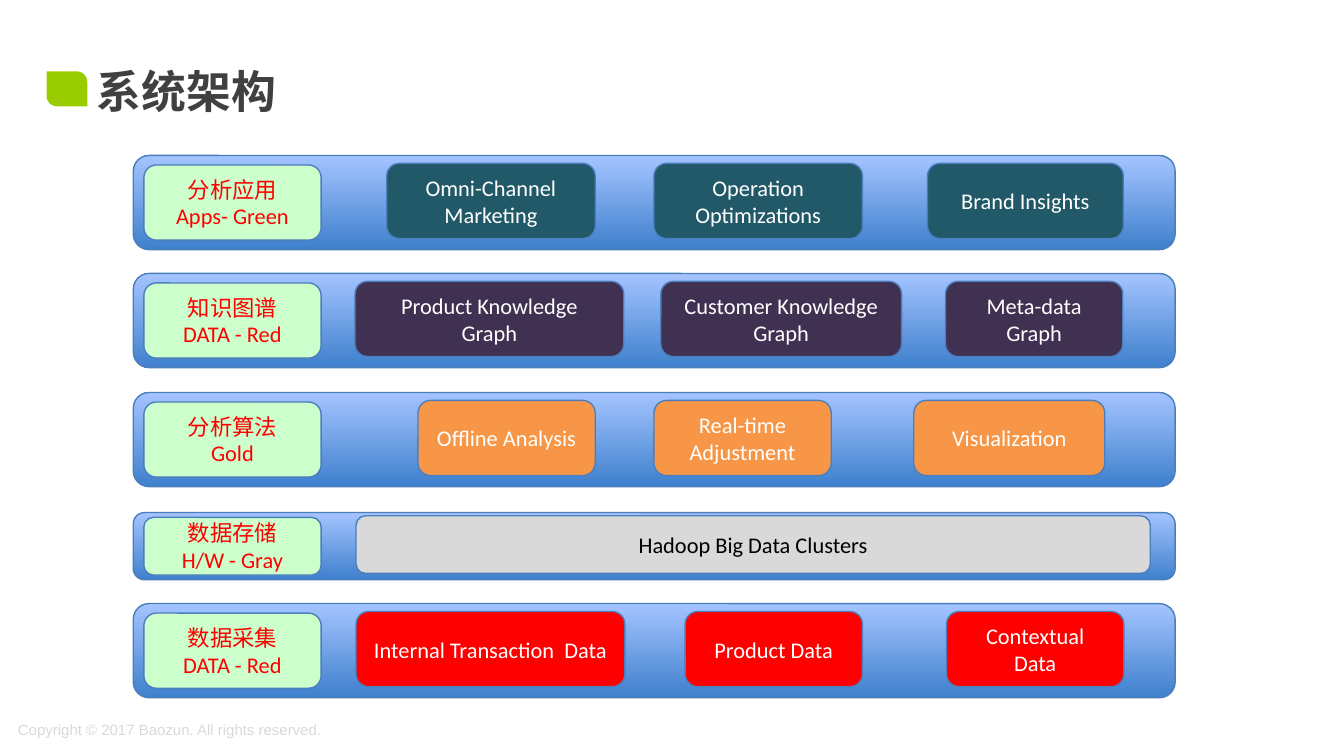
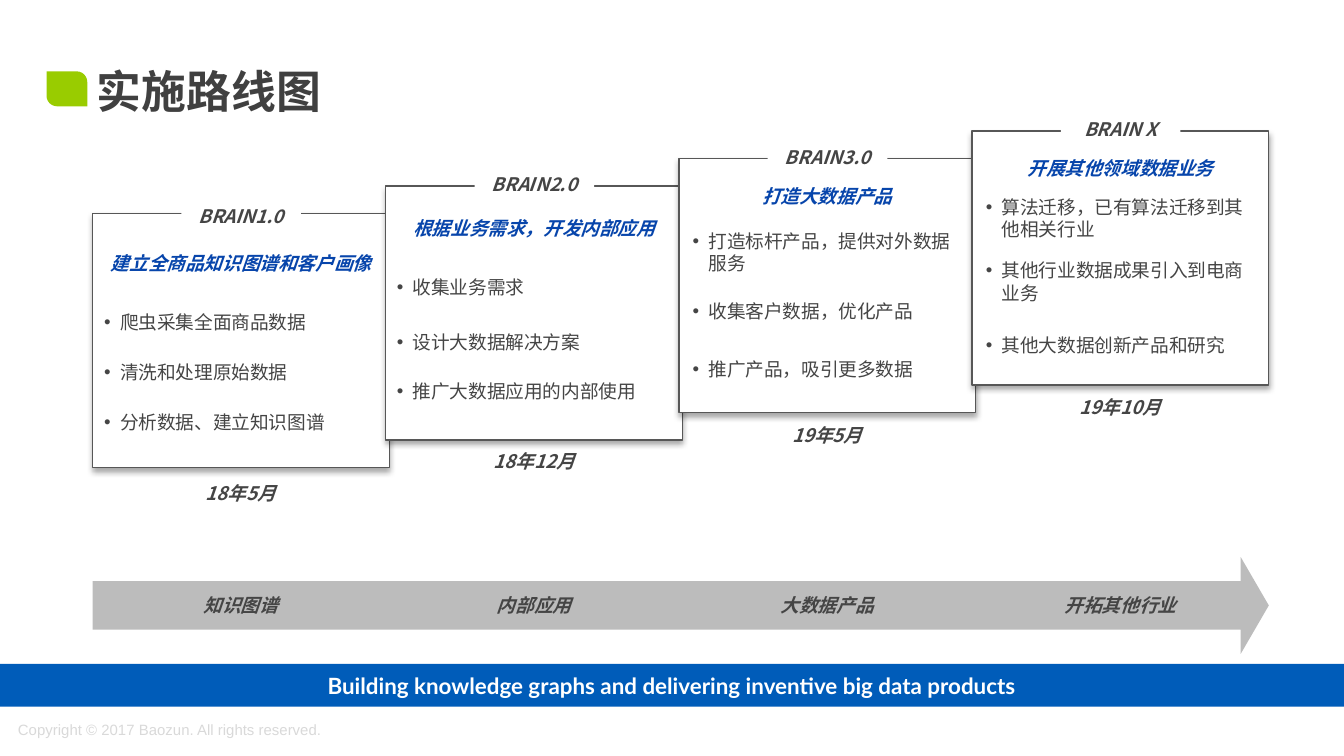
import lxml.etree
import pptx
import pptx.dml.color
import pptx.enum.shapes
import pptx.enum.text
import pptx.oxml.ns
import pptx.util

Cm = pptx.util.Cm
Pt = pptx.util.Pt
SHAPES = pptx.enum.shapes.MSO_SHAPE
ANCHOR = pptx.enum.text.MSO_ANCHOR
ALIGN = pptx.enum.text.PP_ALIGN
CJK_FONT = "Noto Sans CJK SC"
COPYRIGHT = "Copyright © 2017 Baozun. All rights reserved."
WHITE, BLACK, RED = "FFFFFF", "000000", "FF0000"
GREEN, PALE_GREEN, LIGHT_GRAY = "99CC00", "CCFFCC", "D9D9D9"
DARK, GRAY, OUTLINE = "404040", "454545", "575757"
BLUE, BAR_BLUE, EDGE_BLUE, ARROW_GRAY = "0745AB", "005CB9", "4B7EBC", "BCBCBC"
BAND_GRADIENT = ("3F80CD", "A4C4FF")

ARCHITECTURE_TITLE = "系统架构"
LAYERS = [
    {"top": 2.94, "height": 1.78, "label": ["分析应用", "Apps- Green"],
     "fill": "215968", "color": WHITE,
     "parts": [("Omni-Channel Marketing", 7.31, 3.94),
               ("Operation Optimizations", 12.36, 3.94),
               ("Brand Insights", 17.53, 3.7)]},
    {"top": 5.17, "height": 1.78, "label": ["知识图谱", "DATA - Red"],
     "fill": "403152", "color": WHITE,
     "parts": [("Product Knowledge Graph", 6.71, 5.08),
               ("Customer Knowledge Graph", 12.49, 4.55),
               ("Meta-data Graph", 17.87, 3.35)]},
    {"top": 7.42, "height": 1.78, "label": ["分析算法", "Gold"],
     "fill": "F79646", "color": WHITE,
     "parts": [("Offline Analysis", 7.9, 3.35),
               ("Real-time Adjustment", 12.36, 3.35),
               ("Visualization", 17.27, 3.61)]},
    {"top": 9.69, "height": 1.27, "label": ["数据存储", "H/W - Gray"],
     "fill": LIGHT_GRAY, "color": BLACK,
     "parts": [("Hadoop Big Data Clusters", 6.73, 15.01)]},
    {"top": 11.41, "height": 1.78, "label": ["数据采集", "DATA - Red"],
     "fill": RED, "color": WHITE,
     "parts": [("Internal Transaction  Data", 6.73, 5.08),
               ("Product Data", 12.95, 3.35),
               ("Contextual Data", 17.89, 3.35)]},
]

ROADMAP_TITLE = "实施路线图"
SLOGAN = "Building knowledge graphs and delivering inventive big data products"
STAGES = [
    {"tag": "BRAIN1.0", "tag_top": 3.71, "date": "18年5月", "date_top": 8.95,
     "theme": "知识图谱", "heading": "建立全商品知识图谱和客户画像",
     "heading_top": 4.6, "list_top": 5.87, "list_indent": 0.22,
     "items": [("爬虫采集全面商品数据", 0), ("清洗和处理原始数据", 14.8),
               ("分析数据、建立知识图谱", 14.8)]},
    {"tag": "BRAIN2.0", "tag_top": 3.11, "date": "18年12月", "date_top": 8.35,
     "theme": "内部应用", "heading": "根据业务需求，开发内部应用",
     "heading_top": 3.94, "list_top": 5.21, "list_indent": 0.21,
     "items": [("收集业务需求", 0), ("设计大数据解决方案", 17.5),
               ("推广大数据应用的内部使用", 14.2)]},
    {"tag": "BRAIN3.0", "tag_top": 2.59, "date": "19年5月", "date_top": 7.85,
     "theme": "大数据产品", "heading": "打造大数据产品",
     "heading_top": 3.34, "list_top": 4.34, "list_indent": 0.26,
     "items": [("打造标杆产品，提供对外数据服务", 0), ("收集客户数据，优化产品", 13.5),
               ("推广产品，吸引更多数据", 19.5)]},
    {"tag": "BRAIN X", "tag_top": 2.07, "date": "19年10月", "date_top": 7.33,
     "theme": "开拓其他行业", "heading": "开展其他领域数据业务",
     "heading_top": 2.8, "list_top": 3.7, "list_indent": 0.26,
     "items": [("算法迁移，已有算法迁移到其他相关行业", 0),
               ("其他行业数据成果引入到电商业务", 10),
               ("其他大数据创新产品和研究", 16)]},
]


def rgb(value):
    return pptx.dml.color.RGBColor.from_string(value)


def add_element(parent, tag, **attributes):
    return lxml.etree.SubElement(parent, pptx.oxml.ns.qn(tag), **attributes)


def place(shape, left, top, width, height):
    shape.left, shape.top = Cm(left), Cm(top)
    shape.width, shape.height = Cm(width), Cm(height)


def add_shape(slide, kind, box, fill, line=None):
    shape = slide.shapes.add_shape(kind, *map(Cm, box))
    shape.shadow.inherit = False
    if isinstance(fill, tuple):
        shape.fill.gradient()
        shape.fill.gradient_angle = 90
        for stop, color in zip(shape.fill.gradient_stops, fill):
            stop.color.rgb = rgb(color)
    else:
        shape.fill.solid()
        shape.fill.fore_color.rgb = rgb(fill)
    if line:
        shape.line.color.rgb = rgb(line)
        shape.line.width = Pt(0.75)
    else:
        shape.line.fill.background()
    return shape


def write(shape, lines, size, color, font=CJK_FONT, bold=False, italic=False,
          align=ALIGN.CENTER, anchor=ANCHOR.MIDDLE, margins=(0.25, 0.13)):
    frame = shape.text_frame
    frame.text = "\n".join(lines)
    frame.word_wrap = True
    frame.auto_size = pptx.enum.text.MSO_AUTO_SIZE.NONE
    frame.vertical_anchor = anchor
    frame.margin_left = frame.margin_right = Cm(margins[0])
    frame.margin_top = frame.margin_bottom = Cm(margins[1])
    for paragraph in frame.paragraphs:
        paragraph.alignment = align
        for run in paragraph.runs:
            run.font.name = font
            run.font.size = Pt(size)
            run.font.bold = bold
            run.font.italic = italic
            run.font.color.rgb = rgb(color)
            add_element(run.font._element, "a:ea", typeface=CJK_FONT)


def add_text(slide, box, text, size, color, **style):
    write(slide.shapes.add_textbox(*map(Cm, box)), [text], size, color, **style)


def add_slide(presentation, layout, title, font):
    slide = presentation.slides.add_slide(presentation.slide_layouts.get_by_name(layout))
    place(slide.shapes.title, 1.7, 1.27, 21.97, 1.3)
    write(slide.shapes.title, [title], 24, DARK, font=font, bold=True,
          align=ALIGN.LEFT, anchor=ANCHOR.TOP, margins=(0.13, 0.13))
    slide.shapes.title.text_frame.paragraphs[0].line_spacing = 0.8
    return slide


def decorate_master(presentation, slide):
    mark = add_shape(slide, SHAPES.ROUND_2_DIAG_RECTANGLE, (0.88, 1.35, 0.77, 0.66), GREEN)
    mark.adjustments[0], mark.adjustments[1] = 0, 0.3
    add_text(slide, (0.34, 13.62, 7.44, 0.36), COPYRIGHT, 8, LIGHT_GRAY, font="Arial",
             align=ALIGN.LEFT, anchor=ANCHOR.TOP, margins=(0, 0))
    for number, shape in enumerate(list(slide.shapes)[-2:], 21):
        shape.element.xpath("./p:nvSpPr/p:cNvPr")[0].set("id", str(number))
        presentation.slide_master.shapes.element.append(shape.element)


def build_architecture(slide):
    for layer in LAYERS:
        top, height = layer["top"], layer["height"]
        add_shape(slide, SHAPES.ROUNDED_RECTANGLE, (2.52, top, 19.69, height),
                  BAND_GRADIENT, EDGE_BLUE)
        part_height = min(1.42, height - 0.18)
        label_top = top + (height - part_height) / 2
        part_top = label_top - 0.03
        boxes = [(layer["label"], 2.72, label_top, 3.35, PALE_GREEN, RED)]
        boxes += [([text], left, part_top, width, layer["fill"], layer["color"])
                  for text, left, width in layer["parts"]]
        for lines, left, box_top, width, fill, color in boxes:
            shape = add_shape(slide, SHAPES.ROUNDED_RECTANGLE,
                              (left, box_top, width, part_height), fill, EDGE_BLUE)
            write(shape, lines, 12, color, font="Calibri")


def add_card(slide, box):
    card = add_shape(slide, SHAPES.RECTANGLE, box, WHITE, OUTLINE)
    effects = card.element.spPr.find(pptx.oxml.ns.qn("a:effectLst"))
    shadow = add_element(effects, "a:outerShdw", blurRad=str(Pt(3.1)), dist=str(Pt(1.8)),
                         dir="5400000", algn="t", rotWithShape="0")
    color = add_element(shadow, "a:srgbClr", val=BLACK)
    add_element(color, "a:alpha", val="35000")


def fill_list(placeholder, items, left, top):
    place(placeholder, left, top, 5.08, 2.9)
    write(placeholder, [text for text, gap in items], 10, GRAY, align=ALIGN.LEFT,
          anchor=ANCHOR.TOP, margins=(0, 0))
    for paragraph, (text, gap) in zip(placeholder.text_frame.paragraphs, items):
        properties = paragraph._p.get_or_add_pPr()
        properties.set("marL", str(Cm(0.3)))
        properties.set("indent", str(-Cm(0.3)))
        add_element(properties, "a:buFont", typeface="Arial")
        add_element(properties, "a:buChar", char="•")
        paragraph.line_spacing = Pt(12)
        paragraph.space_before = Pt(gap)
        paragraph.space_after = Pt(0)
    placeholder.element.getparent().append(placeholder.element)


def build_roadmap(slide):
    bar = add_shape(slide, SHAPES.RECTANGLE, (0, 12.55, 25.4, 0.81), BAR_BLUE)
    write(bar, [SLOGAN], 12, WHITE, font="Lato", bold=True)
    arrow = add_shape(slide, SHAPES.RIGHT_ARROW, (1.75, 10.53, 22.23, 1.83), ARROW_GRAY)
    arrow.adjustments[0], arrow.adjustments[1] = 0.5, 0.29
    width, height, line_height = 5.61, 4.8, 0.74
    strong = {"bold": True, "italic": True, "margins": (0, 0.13)}
    lists = [shape for shape in slide.placeholders if shape.placeholder_format.idx in range(1, 5)]
    for index, (stage, placeholder) in enumerate(zip(STAGES, lists)):
        left, top = 1.75 + 5.54 * index, 4.04 - 0.52 * index
        add_card(slide, (left, top, width, height))
        labels = [(stage["tag"], 1.68, stage["tag_top"], 2.26, GRAY),
                  (stage["heading"], 0.34, stage["heading_top"], 4.93, BLUE)]
        for text, offset, label_top, label_width, color in labels:
            label = add_shape(slide, SHAPES.RECTANGLE,
                              (left + offset, label_top, label_width, line_height), WHITE)
            write(label, [text], 10, color, **strong)
        fill_list(placeholder, stage["items"], left + stage["list_indent"], stage["list_top"])
        for text, text_top in ((stage["date"], stage["date_top"]), (stage["theme"], 11.07)):
            add_text(slide, (left + 1.1, text_top, width - 2.2, line_height),
                     text, 10, GRAY, **strong)


def main():
    presentation = pptx.Presentation()
    presentation.slide_width, presentation.slide_height = Cm(25.4), Cm(14.29)
    architecture = add_slide(presentation, "Title Only", ARCHITECTURE_TITLE, "Calibri")
    decorate_master(presentation, architecture)
    build_architecture(architecture)
    build_roadmap(add_slide(presentation, "Comparison", ROADMAP_TITLE, CJK_FONT))
    presentation.save("out.pptx")


if __name__ == "__main__":
    main()
